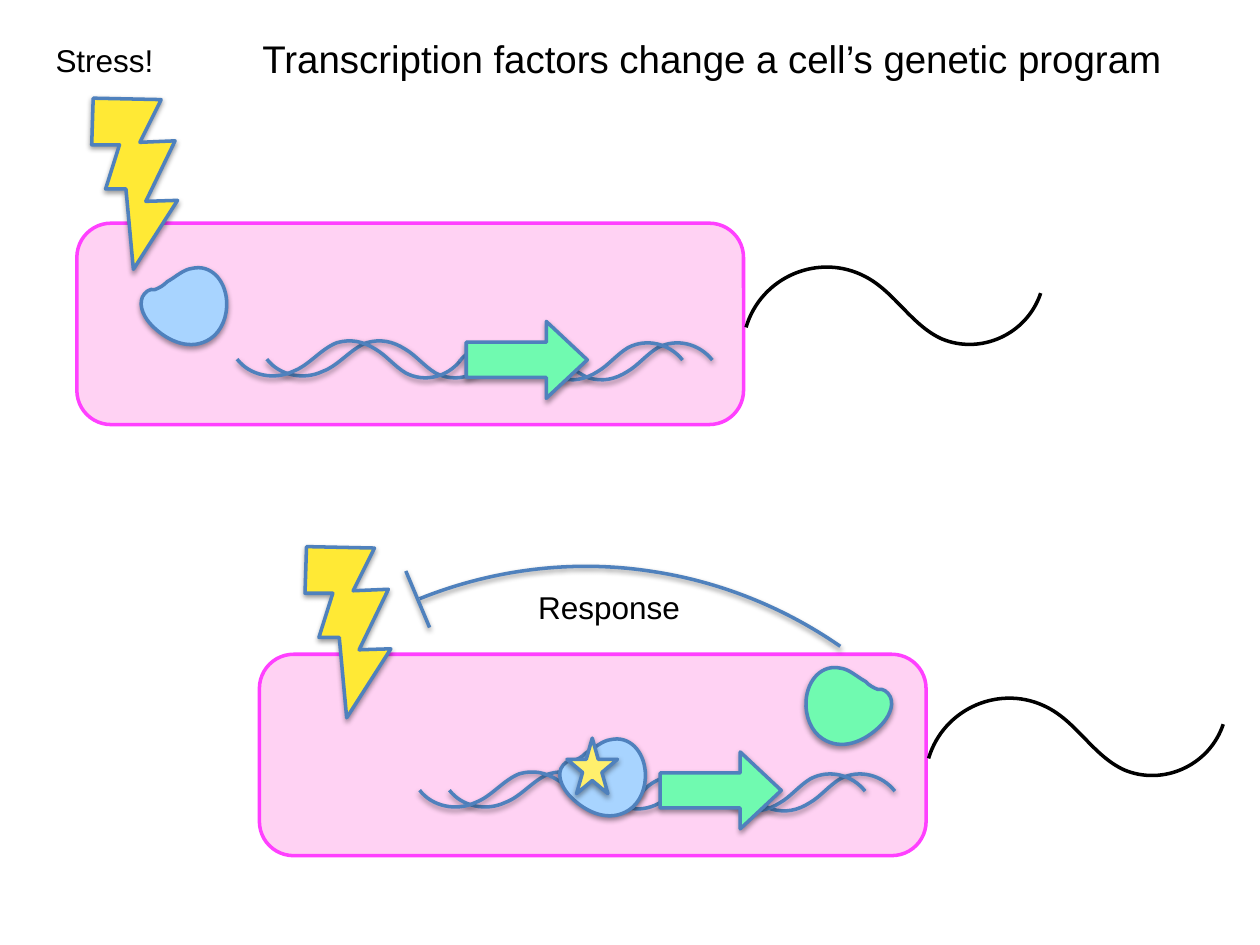
from lxml import etree
from pptx import Presentation
from pptx.dml.color import RGBColor
from pptx.enum.shapes import MSO_CONNECTOR, MSO_SHAPE
from pptx.enum.text import MSO_AUTO_SIZE
from pptx.oxml.ns import qn
from pptx.util import Cm, Pt

ROUNDED, ARROW, STAR = (MSO_SHAPE.ROUNDED_RECTANGLE, MSO_SHAPE.RIGHT_ARROW,
                        MSO_SHAPE.STAR_5_POINT)
STRAIGHT = MSO_CONNECTOR.STRAIGHT
FIT_SHAPE = MSO_AUTO_SIZE.SHAPE_TO_FIT_TEXT

BLUE, PINK, MAGENTA, BLACK = "4F81BD", "FFD2F3", "FF40FF", "000000"
YELLOW, STAR_YELLOW, SKY, GREEN = "FFE935", "FFEF6C", "A8D4FF", "70FAB0"

# All lengths are in cm.
TEXTS = [
    ("Transcription factors change a cell’s genetic program", 22, (5.16, 0.58, 18.67, 1.19)),
    ("Response", 18, (10.72, 11.73, 3.15, 1.02)),
    ("Stress!", 18, (0.99, 0.69, 2.26, 1.02)),
]
CELL_OFFSETS = [(0, 0), (3.68, 8.69)]
CELL = (1.55, 4.5, 13.44, 4.06)
FLAGELLUM_AT = (15.04, 5.38)
DNA_AT = (4.78, 7.24)
STRAND_GAP = 0.6
DNA_HALF = 4.48
BOLTS = [(1.85, 1.98), (6.15, 11.02)]
FACTORS = [(2.84, 5.38), (11.28, 14.88)]
GENES = [(9.4, 6.48), (13.31, 15.16)]
GENE_SIZE = (2.44, 1.55)
STAR_BOX = (11.43, 14.88, 1.02, 1.12)
PROTEIN_AT = (17.98, 13.44)
INHIBITION_BAR = (8.66, 12.65, 8.18, 11.51)

BOLT = [(0.03, 0), (1.4, 0.03), (0.97, 0.89), (1.68, 0.86), (1.09, 2.08), (1.73, 2.06),
        (0.84, 3.45), (0.69, 1.83), (0.28, 1.83), (0.56, 0.94), (0, 0.94)]

# Curves: a start point, then two control points and an end point per row.
FLAGELLUM = [
    (0, 1.22),
    (0.3, 0.2), (1.47, -0.3), (2.41, 0.2),
    (3, 0.51), (3.33, 1.17), (3.94, 1.45),
    (4.72, 1.78), (5.66, 1.37), (5.94, 0.53),
]
STRAND = [
    (0, 0),
    (0.25, 0.33), (0.74, 0.43), (1.12, 0.25),
    (1.45, 0.13), (1.68, -0.2), (2.01, -0.33),
    (2.29, -0.41), (2.54, -0.36), (2.79, -0.2),
    (3, -0.08), (3.18, 0.15), (3.4, 0.28),
    (3.78, 0.48), (4.24, 0.36), (4.5, 0.03),
]
PROTEIN = [
    (0.03, 0.61),
    (0.08, 0.51), (0.18, 0.43), (0.28, 0.46),
    (0.36, 0.43), (0.46, 0.38), (0.53, 0.3),
    (0.71, 0.2), (0.86, 0.05), (1.04, 0.03),
    (1.4, -0.05), (1.7, 0.25), (1.73, 0.69),
    (1.75, 0.99), (1.63, 1.3), (1.4, 1.45),
    (1.02, 1.7), (0.56, 1.52), (0.23, 1.19),
    (0.08, 1.04), (-0.05, 0.81), (0.03, 0.61),
]
INHIBITION = [
    (8.46, 12.07),
    (9.93, 11.48), (11.53, 11.28), (13.08, 11.51),
    (14.48, 11.71), (15.8, 12.24), (16.94, 13.03),
]


def rgb(color):
    return RGBColor.from_string(color)


def cm(values):
    return [Cm(v) for v in values]


def shift(a, b):
    return a[0] + b[0], a[1] + b[1]


def place(points, at, flip=(1, 1)):
    """Flip points about their origin, then move them to a position in EMU."""
    return [cm((at[0] + flip[0] * x, at[1] + flip[1] * y)) for x, y in points]


def style(shape, line, fill=None, shadow=True):
    """Set line, fill and shadow; a connector takes no fill."""
    shape.line.color.rgb = rgb(line)
    shape.line.width = Pt(2)
    if fill:
        shape.fill.solid()
        shape.fill.fore_color.rgb = rgb(fill)
    elif hasattr(shape, "fill"):
        shape.fill.background()
    effects = etree.SubElement(shape._element.spPr, qn("a:effectLst"))
    if shadow:
        outer = etree.SubElement(effects, qn("a:outerShdw"), blurRad=str(Pt(3)),
                                 dist=str(Pt(1.6)), dir="5400000", rotWithShape="0")
        color = etree.SubElement(outer, qn("a:srgbClr"), val=BLACK)
        etree.SubElement(color, qn("a:alpha"), val="38000")


def add_outline(shapes, points, closed=False):
    builder = shapes.build_freeform(*points[0], scale=1.0)
    builder.add_line_segments(points[1:], close=closed)
    return builder.convert_to_shape()


def add_curve(shapes, points, closed=False):
    """Draw the end points as a freeform, then bend each side with its controls."""
    sp = add_outline(shapes, points[::3], closed)
    sides = list(sp._element.iter(qn("a:lnTo")))
    for side, c1, c2 in zip(sides, points[1::3], points[2::3]):
        bend = etree.Element(qn("a:cubicBezTo"))
        side.getparent().replace(side, bend)
        for x, y in (c1, c2):
            etree.SubElement(bend, qn("a:pt"), x=str(x - sp.left), y=str(y - sp.top))
        bend.append(side[0])
    return sp


def add_dna(shapes, at):
    group = shapes.add_group_shape()
    halves = [(at, 1), (shift(at, (DNA_HALF, 0.05)), -1)]
    for start, flip_y in halves:
        for gap in (STRAND_GAP, 0):
            points = place(STRAND, shift(start, (gap, 0)), (1, flip_y))
            style(add_curve(group.shapes, points), BLUE)


def add_label(shapes, text, size, box):
    tf = shapes.add_textbox(*cm(box)).text_frame
    tf.word_wrap = False
    tf.auto_size = FIT_SHAPE
    tf.margin_left = tf.margin_right = tf.margin_top = tf.margin_bottom = Cm(0.13)
    p = tf.paragraphs[0]
    p.text = text
    p.font.name, p.font.size = "Arial", Pt(size)
    p.font.color.rgb = rgb(BLACK)


def main():
    prs = Presentation()
    prs.slide_width, prs.slide_height = Cm(25.4), Cm(19.05)
    shapes = prs.slides.add_slide(prs.slide_layouts[6]).shapes

    for offset in CELL_OFFSETS:
        cell = shapes.add_shape(ROUNDED, *cm(shift(CELL, offset) + CELL[2:]))
        cell.adjustments[0] = 0.17
        style(cell, MAGENTA, PINK, shadow=False)
        tail = add_curve(shapes, place(FLAGELLUM, shift(FLAGELLUM_AT, offset)))
        style(tail, BLACK, shadow=False)
        add_dna(shapes, shift(DNA_AT, offset))

    for bolt, factor, gene in zip(BOLTS, FACTORS, GENES):
        style(add_outline(shapes, place(BOLT, bolt), closed=True), BLUE, YELLOW)
        style(add_curve(shapes, place(PROTEIN, factor), closed=True), BLUE, SKY)
        arrow = shapes.add_shape(ARROW, *cm(gene + GENE_SIZE))
        arrow.adjustments[0], arrow.adjustments[1] = 0.458, 0.533
        style(arrow, BLUE, GREEN)

    style(shapes.add_shape(STAR, *cm(STAR_BOX)), BLUE, STAR_YELLOW)
    protein = place(PROTEIN, PROTEIN_AT, (-1, 1))
    style(add_curve(shapes, protein, closed=True), BLUE, GREEN)
    style(add_curve(shapes, place(INHIBITION, (0, 0))), BLUE)
    style(shapes.add_connector(STRAIGHT, *cm(INHIBITION_BAR)), BLUE)

    for text, size, box in TEXTS:
        add_label(shapes, text, size, box)
    prs.save("out.pptx")


if __name__ == "__main__":
    main()
